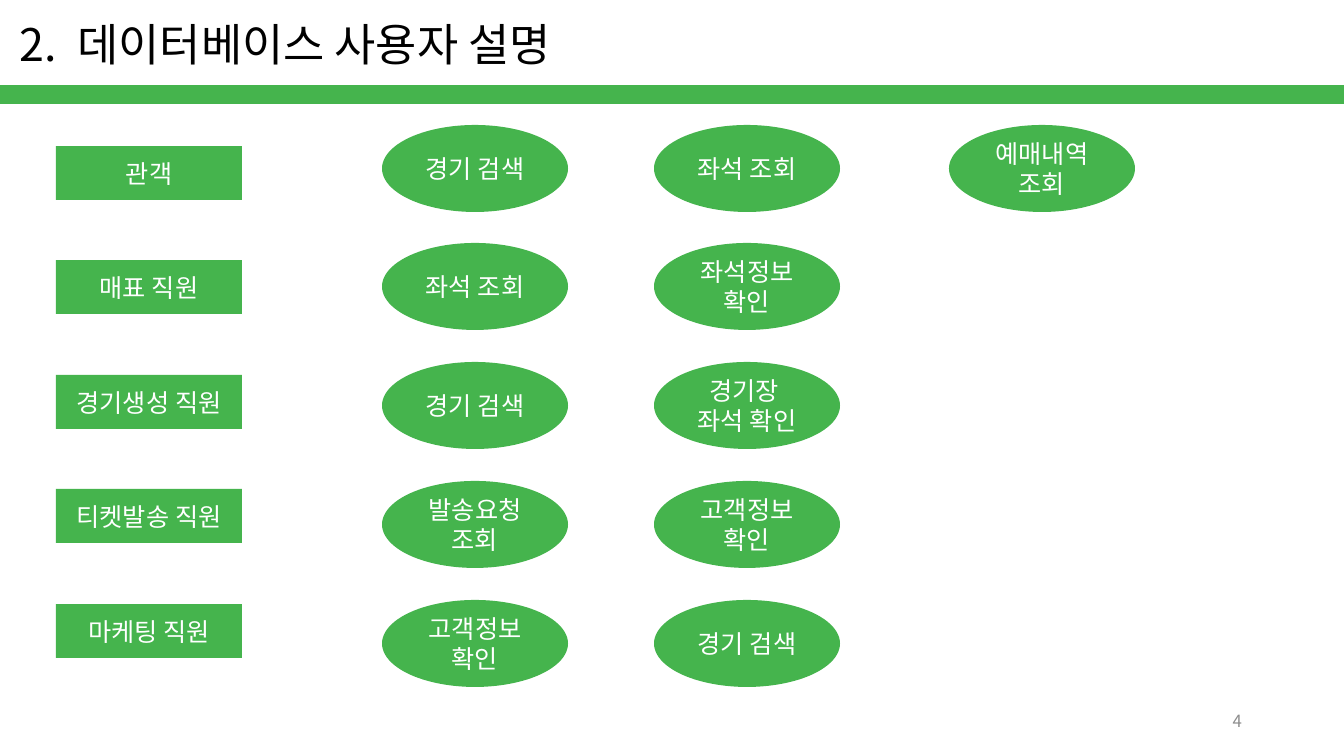
from pptx import Presentation
from pptx import util as u
from pptx.dml.color import RGBColor
from pptx.enum import shapes, text
from pptx.oxml.ns import qn
from lxml import etree

PX = 914400 / 100.8
FONT = "Noto Sans CJK KR"
GREEN = RGBColor(0x45, 0xB4, 0x4D)
WHITE = RGBColor(0xFF, 0xFF, 0xFF)
BLACK = RGBColor(0x00, 0x00, 0x00)
GRAY = RGBColor(0x8C, 0x8C, 0x8C)
ROLES = [
    ("관객", ["경기 검색", "좌석 조회", "예매내역 조회"]),
    ("매표 직원", ["좌석 조회", "좌석정보 확인"]),
    ("경기생성 직원", ["경기 검색", "경기장 \n좌석 확인"]),
    ("티켓발송 직원", ["발송요청 조회", "고객정보 확인"]),
    ("마케팅 직원", ["고객정보 확인", "경기 검색"]),
]
TASK_COLUMNS = [326, 598, 893]


def emu(*lengths):
    """Turn px lengths into EMU."""
    return [u.Emu(round(n * PX)) for n in lengths]


def style_text(tf, size, color, align):
    """Format every run of a text frame."""
    for p in tf.paragraphs:
        p.alignment = align
        for r in p.runs:
            r.font.size = u.Pt(size)
            r.font.name = FONT
            r.font.color.rgb = color
            ea = etree.SubElement(r.font._element, qn("a:ea"))
            ea.set("typeface", FONT)


def add_block(s, kind, box, label=""):
    """Add a green shape with a centred white label."""
    sp = s.shapes.add_shape(kind, *emu(*box))
    sp.shadow.inherit = False
    sp.fill.solid()
    sp.fill.fore_color.rgb = GREEN
    sp.line.fill.background()
    tf = sp.text_frame
    tf.word_wrap = True
    tf.vertical_anchor = text.MSO_ANCHOR.MIDDLE
    tf.text = label
    style_text(tf, 18, WHITE, text.PP_ALIGN.CENTER)


def add_label(s, box, runs, size, color, align, anchor):
    """Add a text box of one paragraph and return its runs."""
    tf = s.shapes.add_textbox(*emu(*box)).text_frame
    tf.word_wrap = True
    tf.vertical_anchor = anchor
    p = tf.paragraphs[0]
    for part in runs:
        p.add_run().text = part
    style_text(tf, size, color, align)
    return p.runs


def add_header(s, left, top, width):
    """Place the title above the green bar."""
    add_block(s, shapes.MSO_SHAPE.RECTANGLE, (left, top + 85, width, 19))
    runs = add_label(s, (left + 10, top + 12, 931, 65),
                     ["2.", " ", "데이터베이스 사용자 설명"], 32, BLACK,
                     text.PP_ALIGN.LEFT, text.MSO_ANCHOR.TOP)
    runs[1].font._element.set("spc", "720")


def add_roles(s, left, top, height):
    """Place each role with its tasks, rows spread evenly over the height."""
    gaps = len(ROLES) - 1
    for i, (role, tasks) in enumerate(ROLES):
        role_top = top + 21 + i * (height - 104) // gaps
        add_block(s, shapes.MSO_SHAPE.RECTANGLE, (left, role_top, 186, 54), role)
        task_top = top + i * (height - 87) // gaps
        for x, task in zip(TASK_COLUMNS, tasks):
            add_block(s, shapes.MSO_SHAPE.OVAL, (left + x, task_top, 186, 87), task)


def main():
    """Build and save the slide."""
    prs = Presentation()
    prs.slide_width, prs.slide_height = emu(1344, 756)
    s = prs.slides.add_slide(prs.slide_layouts[6])
    add_header(s, 0, 0, 1344)
    add_label(s, (950, 701, 302, 40), ["4"], 12, GRAY,
              text.PP_ALIGN.RIGHT, text.MSO_ANCHOR.MIDDLE)
    add_roles(s, 56, 125, 562)
    prs.save("out.pptx")


if __name__ == "__main__":
    main()
